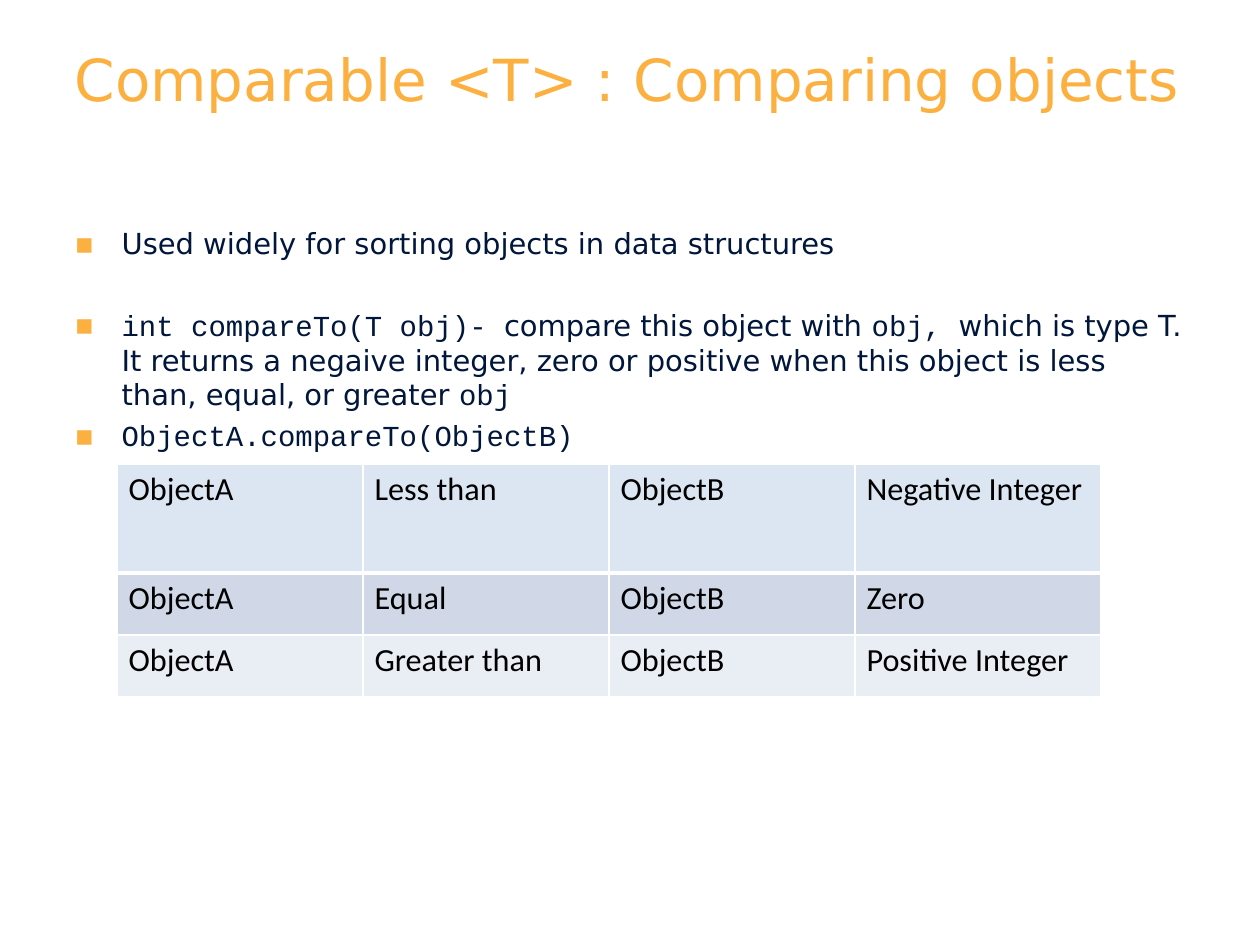
from pptx import Presentation
from pptx.dml.color import RGBColor
from pptx.enum.text import MSO_ANCHOR, MSO_AUTO_SIZE, PP_ALIGN
from pptx.oxml import parse_xml
from pptx.oxml.ns import nsdecls
from pptx.util import Pt

PX = 7890  # EMU per pixel
COLORS = {
    "orange": "FBB040",
    "navy": "00163B",
    "black": "000000",
    "white": "FFFFFF",
    "head": "DCE6F2",
    "band": "D0D8E8",
    "light": "E9EDF4",
}
SANS, MONO, TABLE_FONT = "DejaVu Sans", "Courier New", "Calibri"

# Each bullet: space before in points, then (text, font) spans
BULLETS = [
    (0, [("Used widely for sorting objects in data structures", SANS)]),
    (29, [
        ("int compareTo(T obj)- ", MONO),
        ("compare this object with ", SANS),
        ("obj, ", MONO),
        ("which is type T. It returns a negaive integer, zero or positive "
         "when this object is less than, equal, or greater ", SANS),
        ("obj", MONO),
    ]),
    (4, [("ObjectA.compareTo(ObjectB)", MONO)]),
]

# Each row: fill, height, comparison, result
ROWS = [
    ("head", 109, "Less than", "Negative Integer"),
    ("band", 62, "Equal", "Zero"),
    ("light", 62, "Greater than", "Positive Integer"),
]
COLUMN_WIDTH = 246


def style_font(font, size, color, name=None):
    font.size = Pt(size)
    font.color.rgb = RGBColor.from_string(COLORS[color])
    if name:
        font.name = name


def place(box, left, top, width, height):
    box.left, box.top = left * PX, top * PX
    box.width, box.height = width * PX, height * PX
    frame = box.text_frame
    frame.word_wrap = True
    frame.auto_size = MSO_AUTO_SIZE.NONE
    frame.vertical_anchor = MSO_ANCHOR.TOP
    return frame


def add_title(page, text):
    frame = place(page.shapes.title, 63, 38, 1133, 158)
    frame.text = text
    para = frame.paragraphs[0]
    para.alignment = PP_ALIGN.LEFT
    style_font(para.font, 36, "orange", SANS)


def set_bullet(para, indent):
    props = para._p.get_or_add_pPr()
    props.set("marL", str(indent * PX))
    props.set("indent", str(-indent * PX))
    for xml in (
        f'<a:buClr {nsdecls("a")}><a:srgbClr val="{COLORS["orange"]}"/></a:buClr>',
        f'<a:buFont {nsdecls("a")} typeface="{SANS}"/>',
        f'<a:buChar {nsdecls("a")} char="▪"/>',
    ):
        props.append(parse_xml(xml))


def add_bullets(page, bullets):
    frame = place(page.placeholders[1], 63, 220, 1133, 623)
    for index, (space, spans) in enumerate(bullets):
        para = frame.add_paragraph() if index else frame.paragraphs[0]
        set_bullet(para, 47)
        para.space_before = Pt(space)
        style_font(para.font, 18, "navy")
        for text, font_name in spans:
            span = para.add_run()
            span.text = text
            span.font.name = font_name


def set_borders(cell, top, bottom):
    props = cell._tc.get_or_add_tcPr()
    for side, width in (("L", 1), ("R", 1), ("T", top), ("B", bottom)):
        props.append(parse_xml(
            f'<a:ln{side} {nsdecls("a")} w="{Pt(width)}"><a:solidFill>'
            f'<a:srgbClr val="{COLORS["white"]}"/></a:solidFill></a:ln{side}>'))


def fill_cell(cell, text, fill, top, bottom):
    set_borders(cell, top, bottom)
    cell.fill.solid()
    cell.fill.fore_color.rgb = RGBColor.from_string(COLORS[fill])
    cell.text = text
    para = cell.text_frame.paragraphs[0]
    style_font(para.font, 20, "black", TABLE_FONT)
    para.font.bold = False


def add_comparison_table(page, rows):
    height = sum(row[1] for row in rows)
    table = page.shapes.add_table(
        len(rows), 4, 117 * PX, 464 * PX, 4 * COLUMN_WIDTH * PX, height * PX).table
    table.first_row = table.horz_banding = False
    for column in table.columns:
        column.width = COLUMN_WIDTH * PX
    for r, (fill, row_height, comparison, result) in enumerate(rows):
        table.rows[r].height = row_height * PX
        # A thick rule separates the first row from the second
        top, bottom = (3 if r == 1 else 1), (3 if r == 0 else 1)
        for c, text in enumerate(("ObjectA", comparison, "ObjectB", result)):
            fill_cell(table.cell(r, c), text, fill, top, bottom)


def main():
    deck = Presentation()
    deck.slide_width, deck.slide_height = 1260 * PX, 945 * PX
    page = deck.slides.add_slide(deck.slide_layouts[1])
    add_title(page, "Comparable <T> : Comparing objects")
    add_bullets(page, BULLETS)
    add_comparison_table(page, ROWS)
    deck.save("out.pptx")


if __name__ == "__main__":
    main()
